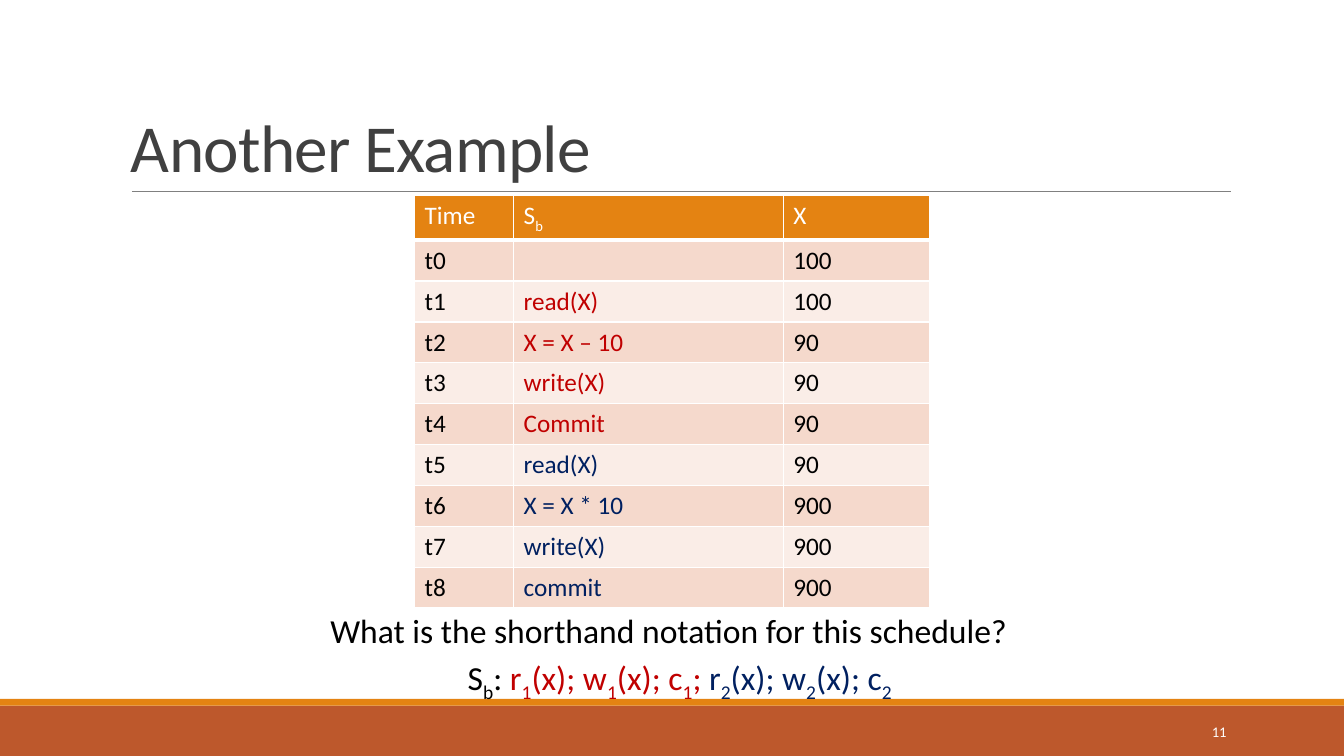
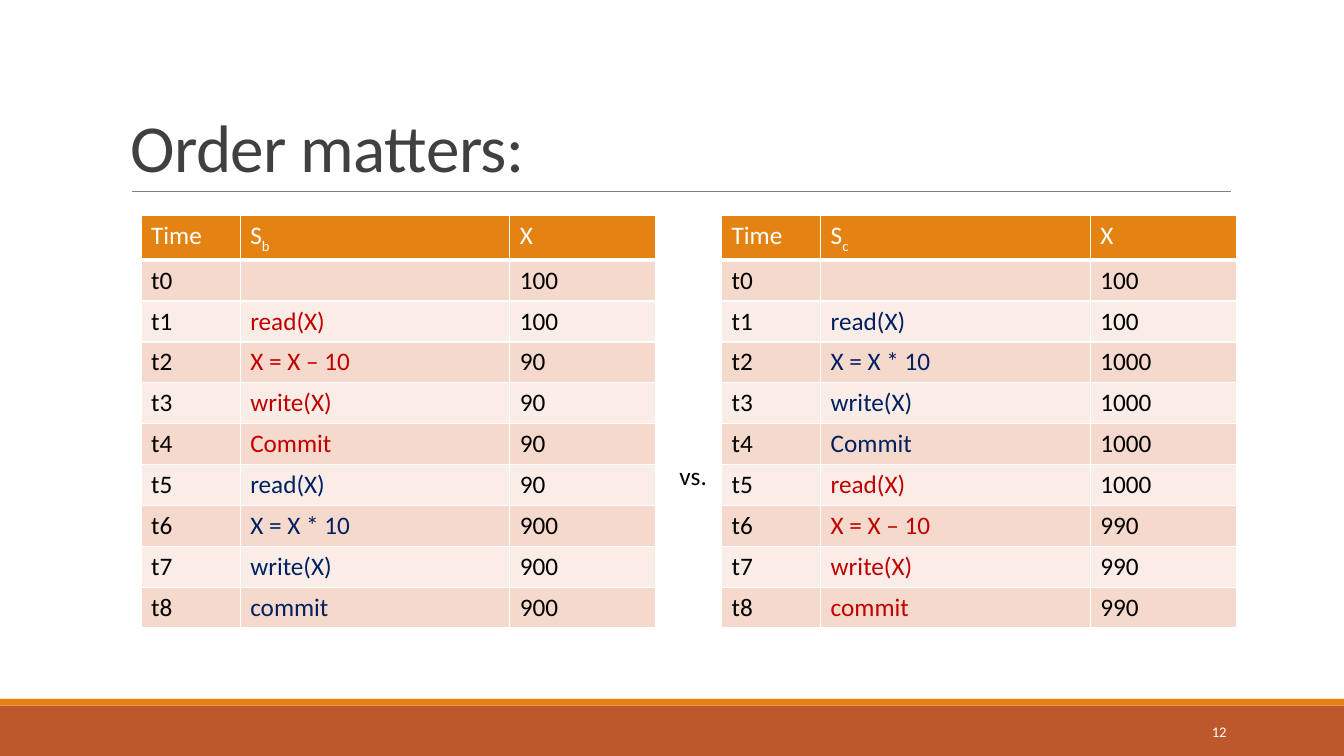
from dataclasses import dataclass

from lxml.etree import SubElement
from pptx import Presentation
from pptx.dml.color import RGBColor
from pptx.enum.shapes import MSO_CONNECTOR, MSO_SHAPE
from pptx.enum.text import MSO_ANCHOR, MSO_AUTO_SIZE, PP_ALIGN
from pptx.oxml.ns import qn
from pptx.util import Emu, Inches, Pt

COLORS = {
    "band": "BD582C", "accent": "E48312", "rule": "808080", "title": "404040",
    "white": "FFFFFF", "black": "000000", "odd": "F5D9CC", "even": "FAEDE7",
    "first": "C00000", "second": "002060",
}
FONT = "Calibri"
GRID_COLS, GRID_ROWS = 160, 90
UNIT = Inches(7.5) / GRID_ROWS
TABLE_COLS = (11.8, 32.1, 17.4)
TABLE_ROW = 4.87
TABLE_W = sum(TABLE_COLS)


@dataclass(frozen=True)
class Run:
    text: str
    color: str = "black"
    sub: bool = False


@dataclass(frozen=True)
class Transaction:
    number: str
    update: str
    color: str


@dataclass(frozen=True)
class Schedule:
    label: str
    order: tuple[Transaction, Transaction]
    values: tuple[int, ...]


T1 = Transaction("1", "X = X – 10", "first")
T2 = Transaction("2", "X = X * 10", "second")
SB = Schedule("b", (T1, T2), (100, 100, 90, 90, 90, 90, 900, 900, 900))
SC = Schedule("c", (T2, T1), (100, 100, 1000, 1000, 1000, 1000, 990, 990, 990))


def grid(n: float) -> Emu:
    return Emu(round(n * UNIT))


def rgb(name: str) -> RGBColor:
    return RGBColor.from_string(COLORS[name])


def write(p, runs: list[Run], *, size: float, spacing: int = 0) -> None:
    for run in runs:
        r = p.add_run()
        r.text = run.text
        r.font.name, r.font.size, r.font.bold = FONT, Pt(size), False
        r.font.color.rgb = rgb(run.color)
        rPr = r.font._element
        if run.sub:
            rPr.set("baseline", "-25000")
        if spacing:
            rPr.set("spc", str(spacing))


def add_text(s, x: float, y: float, w: float, h: float, runs: list[Run], *,
             size: float, wrap: bool = False, anchor=MSO_ANCHOR.TOP,
             align=PP_ALIGN.LEFT, line: float | None = None, spacing: int = 0) -> None:
    tf = s.shapes.add_textbox(grid(x), grid(y), grid(w), grid(h)).text_frame
    tf.word_wrap = wrap
    tf.auto_size = MSO_AUTO_SIZE.NONE if wrap else MSO_AUTO_SIZE.SHAPE_TO_FIT_TEXT
    tf.vertical_anchor = anchor
    p = tf.paragraphs[0]
    p.alignment, p.line_spacing = align, line
    write(p, runs, size=size, spacing=spacing)


def add_band(s, y: float, h: float, color: str) -> None:
    sp = s.shapes.add_shape(MSO_SHAPE.RECTANGLE, 0, grid(y), grid(GRID_COLS), grid(h))
    sp.shadow.inherit = False
    sp.fill.solid()
    sp.fill.fore_color.rgb = rgb(color)
    sp.line.fill.background()


def add_slide(prs, title: str, number: int):
    s = prs.slides.add_slide(prs.slide_layouts[6])
    add_band(s, 84, 6, "band")
    add_band(s, 83.2, 0.8, "accent")
    rule = s.shapes.add_connector(MSO_CONNECTOR.STRAIGHT, grid(15.7), grid(22.8),
                                  grid(146.5), grid(22.8))
    rule.line.color.rgb = rgb("rule")
    rule.line.width = Pt(0.5)
    SubElement(rule._element.spPr, qn("a:effectLst"))
    add_text(s, 14.4, 3.7, 132, 19.1, [Run(title, "title")], size=48, wrap=True,
             anchor=MSO_ANCHOR.BOTTOM, line=0.85, spacing=-50)
    add_text(s, 130, 84.7, 17.2, 4.8, [Run(str(number), "white")], size=10.5,
             wrap=True, anchor=MSO_ANCHOR.MIDDLE, align=PP_ALIGN.RIGHT)
    return s


def format_cell(cell, fill: str, *, bottom: float = 1) -> None:
    tcPr = cell._tc.get_or_add_tcPr()
    for side, width in (("L", 1), ("R", 1), ("T", 1), ("B", bottom)):
        ln = SubElement(tcPr, qn(f"a:ln{side}"), w=str(Pt(width)))
        SubElement(SubElement(ln, qn("a:solidFill")), qn("a:srgbClr"), val=COLORS["white"])
    cell.fill.solid()
    cell.fill.fore_color.rgb = rgb(fill)


def schedule_rows(schedule: Schedule) -> list[list[list[Run]]]:
    steps = [[]]
    for t, end in zip(schedule.order, ("Commit", "commit")):
        steps += [[Run(text, t.color)] for text in ("read(X)", t.update, "write(X)", end)]
    header = [[Run("Time", "white")],
              [Run("S", "white"), Run(schedule.label, "white", True)],
              [Run("X", "white")]]
    body = [[[Run(f"t{i}")], step, [Run(str(value))]]
            for i, (step, value) in enumerate(zip(steps, schedule.values))]
    return [header, *body]


def add_schedule(s, x: float, y: float, schedule: Schedule) -> None:
    rows = schedule_rows(schedule)
    table = s.shapes.add_table(len(rows), len(TABLE_COLS), grid(x), grid(y),
                               grid(TABLE_W), grid(TABLE_ROW * len(rows))).table
    for column, width in zip(table.columns, TABLE_COLS):
        column.width = grid(width)
    for i, row in enumerate(rows):
        table.rows[i].height = grid(TABLE_ROW)
        fill = "accent" if i == 0 else ("even", "odd")[i % 2]
        for j, runs in enumerate(row):
            cell = table.cell(i, j)
            format_cell(cell, fill, bottom=3 if i == 0 else 1)
            write(cell.text_frame.paragraphs[0], runs, size=18)


def shorthand(schedule: Schedule) -> list[Run]:
    runs = [Run("S"), Run(schedule.label, sub=True), Run(": ")]
    for i, t in enumerate(schedule.order):
        if i:
            runs.append(Run("; ", schedule.order[i - 1].color))
        for text in ("r", "(x); w", "(x); c"):
            runs += [Run(text, t.color), Run(t.number, t.color, True)]
    return runs


def main() -> None:
    prs = Presentation()
    prs.slide_width, prs.slide_height = grid(GRID_COLS), grid(GRID_ROWS)

    s = add_slide(prs, "Another Example", 11)
    add_text(s, 38.15, 72, 83.8, 6,
             [Run("What is the shorthand notation for this schedule?")], size=24)
    add_text(s, 54.5, 77.65, 54.5, 6, shorthand(SB), size=24)
    add_schedule(s, (GRID_COLS - TABLE_W) / 2, 23.3, SB)

    s = add_slide(prs, "Order matters:", 12)
    for x, schedule in ((16.8, SB), (85.9, SC)):
        add_schedule(s, x, 25.7, schedule)
    add_text(s, 79.7, 54.25, 5.75, 4.8, [Run("vs.")], size=18)

    prs.save("out.pptx")


if __name__ == "__main__":
    main()
